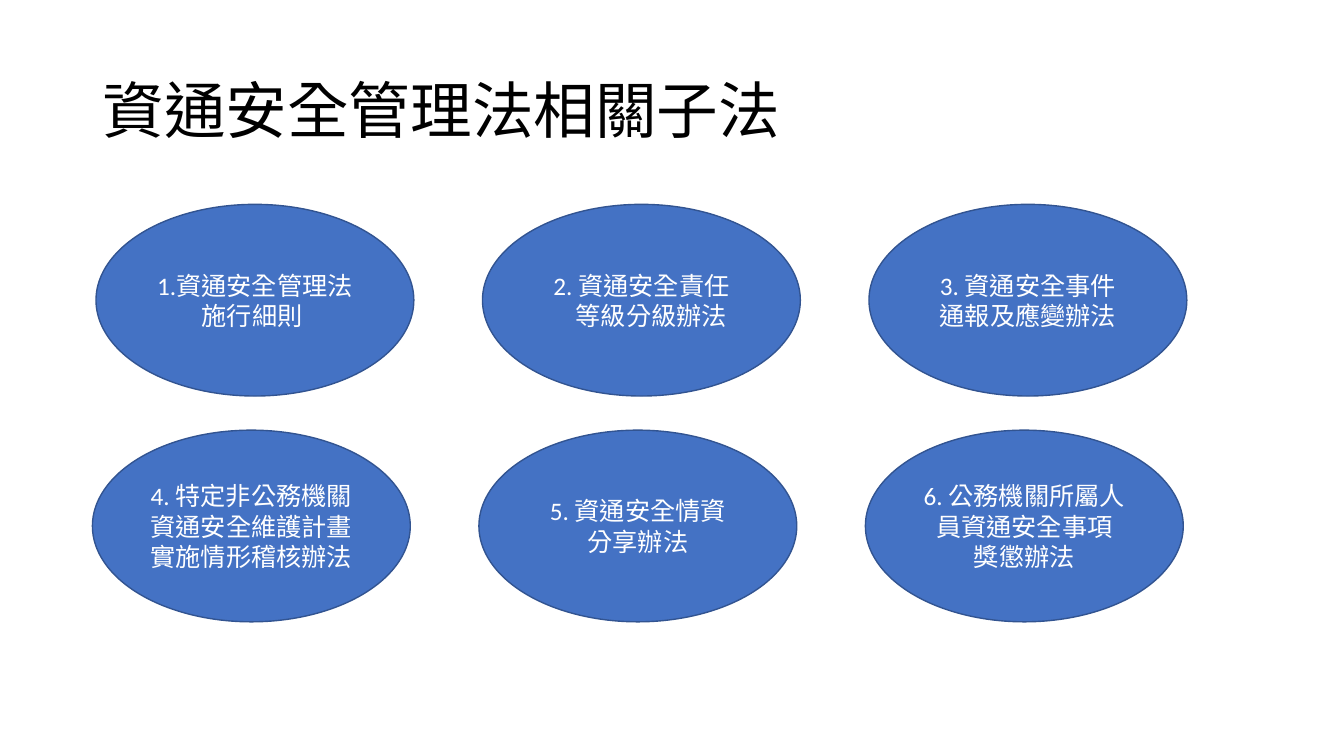
from pptx import Presentation
from pptx.dml.color import RGBColor
from pptx.enum.lang import MSO_LANGUAGE_ID
from pptx.enum.shapes import MSO_SHAPE
from pptx.enum.text import MSO_ANCHOR, MSO_AUTO_SIZE, PP_ALIGN
from pptx.util import Cm, Pt

COLOURS = {"title": "000000", "fill": "4472C4", "outline": "325491", "label": "FFFFFF"}
REGULATIONS = [
    ["1.資通安全管理法 施行細則 "],
    ["2. 資通安全責任", "等級分級辦法"],
    ["3. 資通安全事件", "通報及應變辦法"],
    ["4. 特定非公務機關資通安全維護計畫實施情形稽核辦法"],
    ["5. 資通安全情資", "分享辦法"],
    ["6. 公務機關所屬人員資通安全事項", "獎懲辦法"],
]
INDENTED_LINE = "等級分級辦法"
ROWS = [(2.42, 5.15), (2.33, 10.84)]  # left and top of each row, in cm
COLUMN_STEP = 9.74


def place(box, left, top, width, height):
    places = {"left": left, "top": top, "width": width, "height": height}
    for name, value in places.items():
        setattr(box, name, Cm(value))


def write(para, text, size, colour):
    span = para.add_run()
    span.text = text
    formats = {"name": "Calibri", "size": Pt(size), "bold": False,
               "language_id": MSO_LANGUAGE_ID.TRADITIONAL_CHINESE}
    for name, value in formats.items():
        setattr(span.font, name, value)
    span.font.color.rgb = RGBColor.from_string(COLOURS[colour])


deck = Presentation()
deck.slide_width, deck.slide_height = Cm(33.87), Cm(19.05)
page = deck.slides.add_slide(deck.slide_layouts[5])

# Title
title = page.shapes.title
place(title, 2.33, 1.01, 29.21, 3.68)
title.text_frame.auto_size = MSO_AUTO_SIZE.NONE
title.text_frame.vertical_anchor = MSO_ANCHOR.MIDDLE
heading = title.text_frame.paragraphs[0]
heading.alignment = PP_ALIGN.LEFT
heading.line_spacing = 0.9
write(heading, "資通安全管理法相關子法", 44, "title")

# Regulations in two rows of three ellipses
for index, lines in enumerate(REGULATIONS):
    row, column = divmod(index, 3)
    left, top = ROWS[row]
    box = page.shapes.add_shape(MSO_SHAPE.OVAL, 0, 0, 0, 0)
    place(box, left + column * COLUMN_STEP, top, 8.01, 4.83)
    box.shadow.inherit = False
    box.fill.solid()
    box.fill.fore_color.rgb = RGBColor.from_string(COLOURS["fill"])
    box.line.color.rgb = RGBColor.from_string(COLOURS["outline"])
    box.line.width = Pt(1)
    frame = box.text_frame
    frame.word_wrap = True
    frame.vertical_anchor = MSO_ANCHOR.MIDDLE
    for number, line in enumerate(lines):
        para = frame.add_paragraph() if number else frame.paragraphs[0]
        para.alignment = PP_ALIGN.CENTER
        write(para, line, 18, "label")
        if line == INDENTED_LINE:
            para._p.get_or_add_pPr().set("marL", str(Cm(0.5)))

deck.save("out.pptx")
